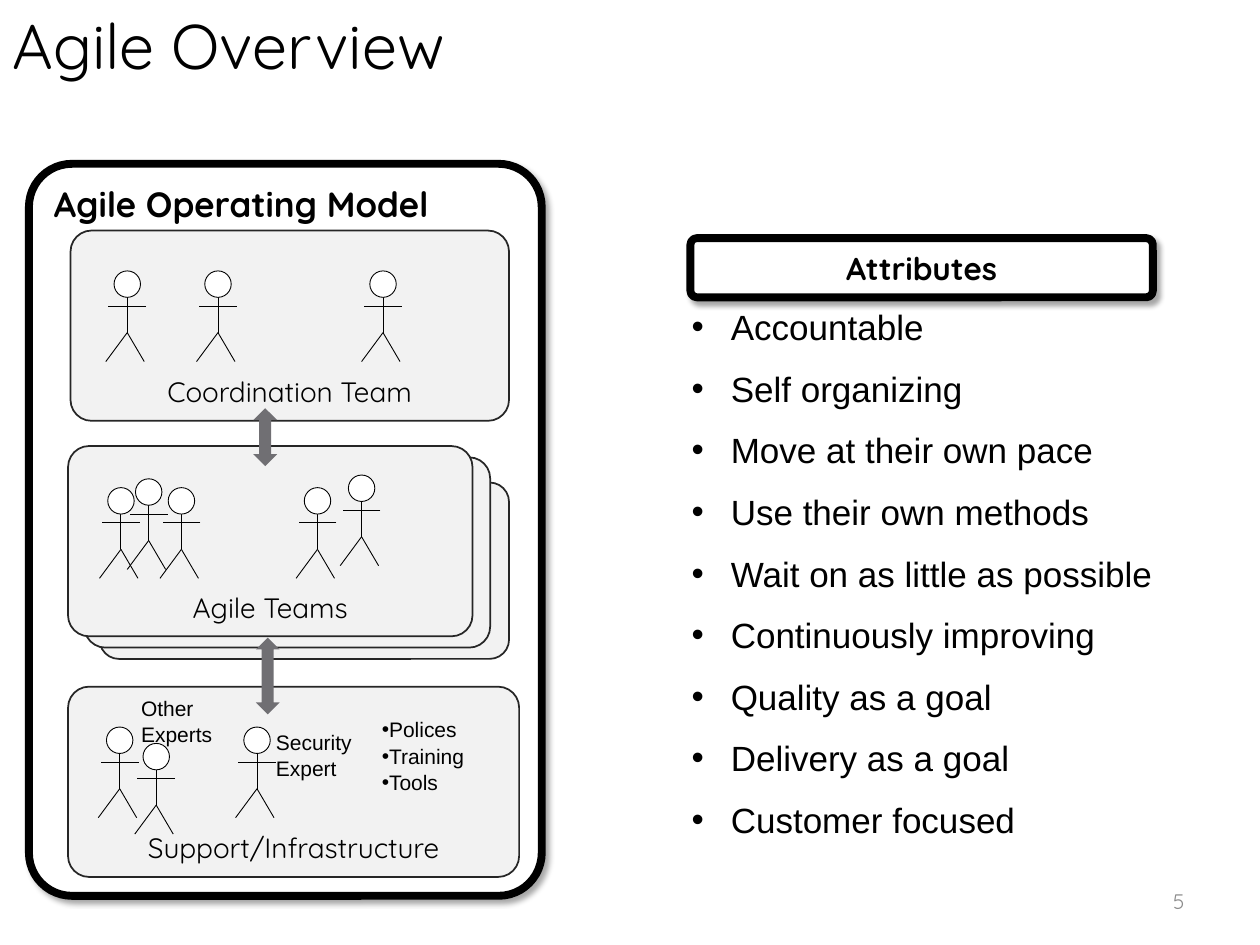
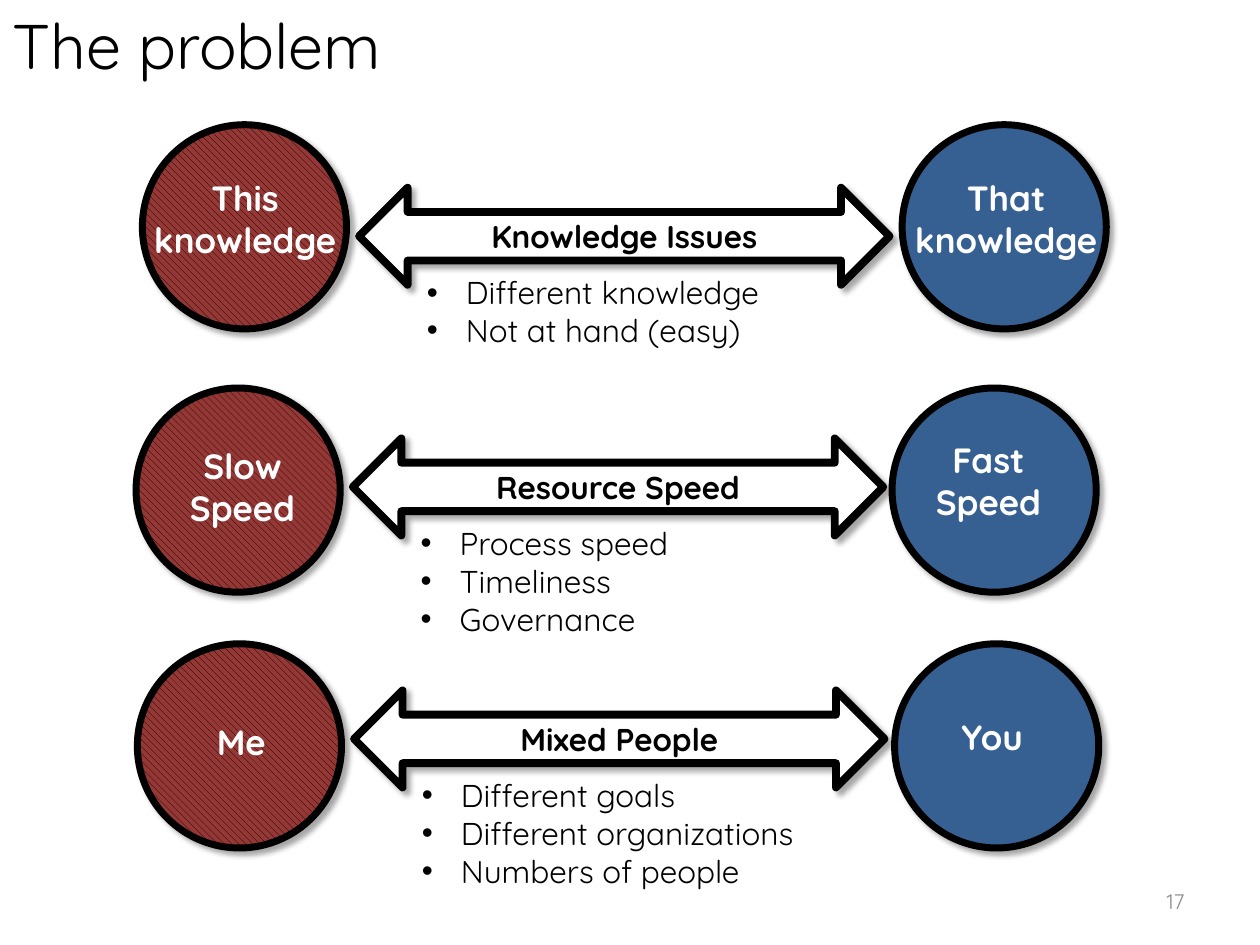
"""Build two slides: an agile operating model and the gaps between two sides."""
from lxml import etree
from pptx import Presentation
from pptx.dml.color import RGBColor
from pptx.enum.dml import MSO_PATTERN
from pptx.enum.shapes import MSO_CONNECTOR, MSO_SHAPE
from pptx.enum.text import MSO_ANCHOR, PP_ALIGN
from pptx.oxml.ns import qn
from pptx.util import Inches, Pt

ROUND, OVAL = MSO_SHAPE.ROUNDED_RECTANGLE, MSO_SHAPE.OVAL
UPDOWN, ACROSS = MSO_SHAPE.UP_DOWN_ARROW, MSO_SHAPE.LEFT_RIGHT_ARROW
STRAIGHT, HATCH = MSO_CONNECTOR.STRAIGHT, MSO_PATTERN.WIDE_DOWNWARD_DIAGONAL
LEFT, MID, RIGHT = PP_ALIGN.LEFT, PP_ALIGN.CENTER, PP_ALIGN.RIGHT
TOP, CENTER, BASE = MSO_ANCHOR.TOP, MSO_ANCHOR.MIDDLE, MSO_ANCHOR.BOTTOM

BLACK = RGBColor(0x00, 0x00, 0x00)
WHITE = RGBColor(0xFF, 0xFF, 0xFF)
PALE = RGBColor(0xF2, 0xF2, 0xF2)
EDGE = RGBColor(0x26, 0x26, 0x26)
GREY = RGBColor(0x70, 0x6F, 0x73)
FAINT = RGBColor(0x8C, 0x8C, 0x8C)
RED = RGBColor(0x95, 0x37, 0x35)
BLUE = RGBColor(0x37, 0x60, 0x92)

HEAD, BODY = "Quicksand", "Arial"
WIDE, HIGH = Inches(10), Inches(7.5)
CELL = WIDE / 100
HANG = 3.1

ATTRS = ["Accountable", "Self organizing", "Move at their own pace",
         "Use their own methods", "Wait on as little as possible",
         "Continuously improving", "Quality as a goal", "Delivery as a goal",
         "Customer focused"]

GAPS = [
    dict(box=(11.3, 9.9), span=60.3, drop=5, issue="Knowledge Issues",
         notes=["Different knowledge", "Not at hand (easy)"],
         ends=[(["This", "knowledge"], -0.6, 3.6),
               (["That", "knowledge"], -0.5, 3.6)]),
    dict(box=(10.8, 30.8), span=60, drop=4, issue="Resource Speed",
         notes=["Process speed", "Timeliness", "Governance"],
         ends=[(["Slow", "Speed"], -0.3, 4), (["Fast", "Speed"], -1.1, 3.5)]),
    dict(box=(10.9, 51.1), span=60.1, drop=3.7, issue="Mixed People",
         notes=["Different goals", "Different organizations",
                "Numbers of people"],
         ends=[(["Me"], -0.5, 5.6), (["You"], -1, 5.2)]),
]


def grid(*cells):
    """Turn counts of grid cells into lengths."""
    return [round(cell * CELL) for cell in cells]


def within(box, x, y, w, h):
    """Shift a part by the corner of the box that holds it."""
    return box[0] + x, box[1] + y, w, h


def bullet(par, hang):
    """Give a paragraph a round bullet with a hanging indent."""
    props = par._p.get_or_add_pPr()
    step = grid(hang)[0]
    props.set("marL", str(step))
    props.set("indent", str(-step))
    etree.SubElement(props, qn("a:buFont"), typeface=BODY)
    etree.SubElement(props, qn("a:buChar"), char="•")


def write(shape, lines, size=18, font=HEAD, color=BLACK, bold=False,
          align=LEFT, anchor=TOP, inset=None, hang=None, before=0, pitch=None):
    """Fill a shape with one formatted paragraph per line."""
    frame = shape.text_frame
    frame.word_wrap = True
    frame.vertical_anchor = anchor
    if inset is not None:
        frame.margin_left = frame.margin_right = inset
        frame.margin_top = frame.margin_bottom = inset
    for spot, line in enumerate(lines):
        par = frame.add_paragraph() if spot else frame.paragraphs[0]
        par.alignment = align
        if hang is not None:
            bullet(par, hang)
        if spot and before:
            par.space_before = Pt(before)
        if pitch:
            par.line_spacing = pitch
        run = par.add_run()
        run.text = line
        run.font.name, run.font.size = font, Pt(size)
        run.font.bold, run.font.color.rgb = bold, color


def label(slide, box, lines, **style):
    """Add a text box."""
    write(slide.shapes.add_textbox(*grid(*box)), lines, **style)


def memo(slide, box, lines, **style):
    """Add a plain text box without margins."""
    label(slide, box, lines, font=BODY, inset=0, pitch=1.05, **style)


def cast(shape):
    """Give a shape a soft shadow to the lower right."""
    effects = shape._element.spPr.find(qn("a:effectLst"))
    outer = etree.SubElement(effects, qn("a:outerShdw"), blurRad=str(Pt(3.1)),
                             dist=str(Pt(3)), dir="2700000", algn="tl",
                             rotWithShape="0")
    tint = etree.SubElement(outer, qn("a:srgbClr"), val=str(BLACK))
    etree.SubElement(tint, qn("a:alpha"), val="35000")


def draw(shapes, kind, box, fill, line=BLACK, width=4.5, adj=None,
         hatch=False, shade=False):
    """Add a preset shape with its fill, line and shadow."""
    shape = shapes.add_shape(kind, *grid(*box))
    if hatch:
        shape.fill.patterned()
        shape.fill.pattern = HATCH
        shape.fill.fore_color.rgb, shape.fill.back_color.rgb = BLACK, fill
    else:
        shape.fill.solid()
        shape.fill.fore_color.rgb = fill
    if line is None:
        shape.line.fill.background()
    else:
        shape.line.color.rgb, shape.line.width = line, Pt(width)
    if adj is not None:
        shape.adjustments[0] = adj
    shape.shadow.inherit = False
    if shade:
        cast(shape)
    return shape


def card(slide, box):
    """Add a pale rounded card."""
    return draw(slide.shapes, ROUND, box, PALE, EDGE, 1, 0.11)


def person(slide, x, y):
    """Draw a stick figure whose head is centred on x and starts at y."""
    shapes = slide.shapes.add_group_shape().shapes
    limbs = [(0, 0.9, 0, 4.9), (1.5, 2.8, -1.5, 2.8),
             (0, 4.9, 1.35, 7.2), (0, 4.9, -1.7, 7.2)]
    for x1, y1, x2, y2 in limbs:
        limb = shapes.add_connector(
            STRAIGHT, *grid(x + x1, y + y1, x + x2, y + y2))
        limb.line.color.rgb, limb.line.width = BLACK, Pt(0.5)
        etree.SubElement(limb._element.spPr, qn("a:effectLst"))
    draw(shapes, OVAL, (x - 1.05, y, 2.1, 2.1), WHITE, width=0.5)


def team(slide, box, name, crowd):
    """Draw a named card with people placed inside it."""
    write(card(slide, box), [name], size=16, align=MID, anchor=BASE)
    for x, y in crowd:
        person(slide, box[0] + x, box[1] + y)


def support(slide, box):
    """Draw the support card with its experts and resources."""
    team(slide, box, "Support/Infrastructure",
         [(7, 4.5), (4.1, 3.2), (15, 3.2)])
    notes = [((16.5, 3.3, 12.4, 4), ["Security", "Expert"], None),
             ((5.8, 0.6, 12.4, 4), ["Other", "Experts"], None),
             ((24.9, 2.3, 14.2, 6.1), ["Polices", "Training", "Tools"], 0)]
    for part, lines, hang in notes:
        memo(slide, within(box, *part), lines, size=12, hang=hang)


def model(slide, box):
    """Draw the operating model panel with its three layers."""
    panel = draw(slide.shapes, ROUND, box, WHITE, adj=0.084, shade=True)
    write(panel, ["Agile Operating Model"], size=20, bold=True)
    for part in [(5.6, 25.3, 32.5, 14), (4.4, 23.3, 32.2, 15.1)]:
        card(slide, within(box, *part))
    team(slide, within(box, 3.1, 22.4, 32.1, 15.1), "Agile Teams",
         [(9, 3.3), (4.2, 3.3), (19.8, 3.3), (6.4, 2.6), (23.3, 2.3)])
    team(slide, within(box, 3.3, 5.3, 34.8, 15.1), "Coordination Team",
         [(24.8, 3.2), (11.7, 3.2), (4.5, 3.2)])
    support(slide, within(box, 3.1, 41.5, 35.8, 15.1))
    for part in [(17.8, 19.4, 1.9, 4.6), (18, 37.6, 1.9, 6.1)]:
        draw(slide.shapes, UPDOWN, within(box, *part), GREY, None)


def traits(slide, box):
    """Draw the attributes heading and its list."""
    head = draw(slide.shapes, ROUND, within(box, 0, 0, box[2], 4.7), WHITE,
                adj=0.11, shade=True)
    write(head, ["Attributes"], bold=True, align=MID, anchor=CENTER)
    memo(slide, within(box, 0.1, 5.2, 38.3, 45.3), ATTRS, size=20,
         hang=HANG, before=10)


def gap(slide, box, span, drop, issue, notes, ends):
    """Draw two opposed circles, the arrow between them and its notes."""
    size = 16.2
    for side, (lines, x, y) in enumerate(ends):
        start = side * span
        draw(slide.shapes, OVAL, within(box, start, 0, size, size),
             BLUE if side else RED, width=4, hatch=not side, shade=True)
        label(slide, within(box, start + x, y, 17.5, 3.3 * len(lines) + 1),
              lines, size=20, color=WHITE, bold=True, align=MID)
    label(slide, within(box, 21.6, drop + 6.3, 33.3, 3 * len(notes) + 1),
          notes, hang=HANG)
    arrow = draw(slide.shapes, ACROSS, within(box, 17.2, drop, 42.1, 7.7),
                 WHITE, shade=True)
    write(arrow, [issue], bold=True, align=MID, anchor=CENTER)


def page(deck, title, number):
    """Add a blank slide with its title and page number."""
    slide = deck.slides.add_slide(deck.slide_layouts[6])
    label(slide, (0, 0, 86.3, 7.1), [title], size=36)
    label(slide, (71.7, 69.5, 23.3, 4), [number], size=12, color=FAINT,
          align=RIGHT, anchor=CENTER)
    return slide


def main():
    """Build the deck and save it."""
    deck = Presentation()
    deck.slide_width, deck.slide_height = WIDE, HIGH
    slide = page(deck, "Agile Overview", "5")
    model(slide, (2.3, 13, 40.7, 58.1))
    traits(slide, (54.8, 18.9, 36.7, 50.5))
    slide = page(deck, "The problem", "17")
    for row in GAPS:
        gap(slide, **row)
    deck.save("out.pptx")


if __name__ == "__main__":
    main()
